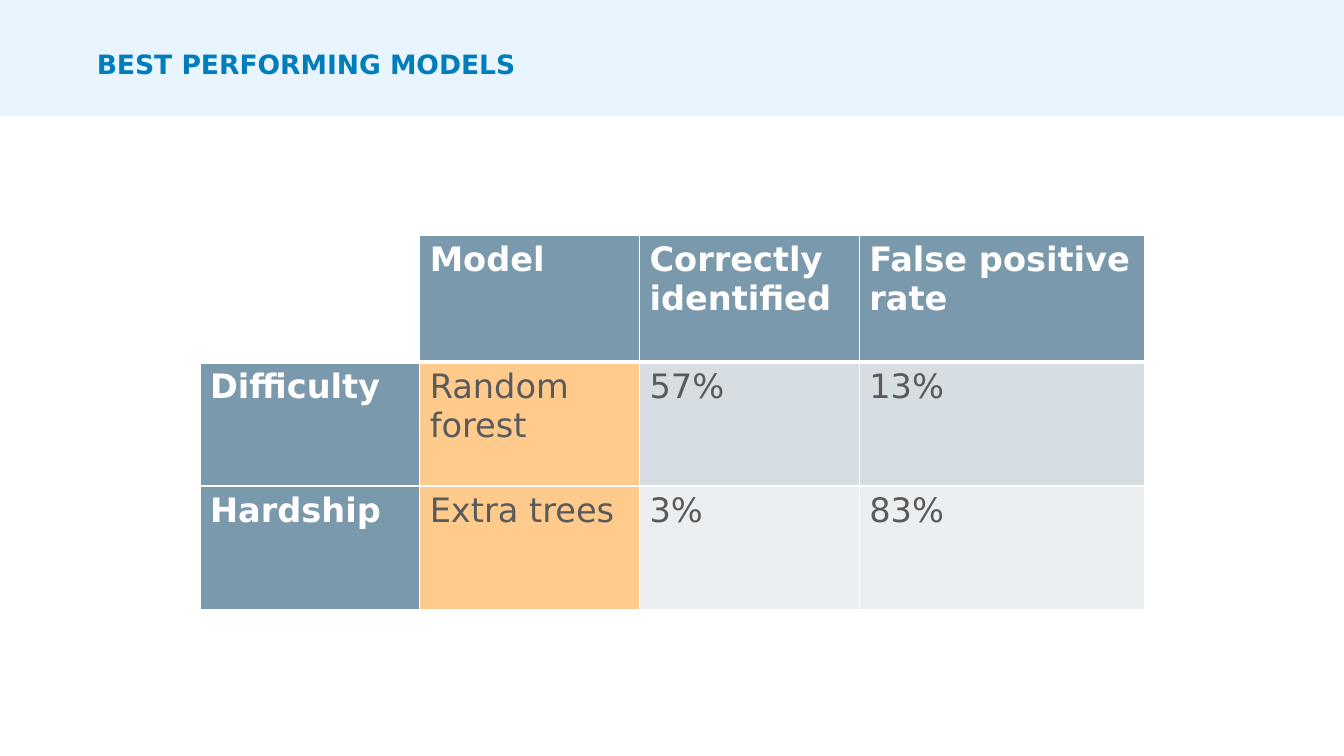
from dataclasses import dataclass

from lxml import etree
from pptx import Presentation
from pptx.dml.color import RGBColor
from pptx.enum.shapes import MSO_SHAPE
from pptx.enum.text import MSO_ANCHOR, MSO_AUTO_SIZE, PP_ALIGN
from pptx.oxml.ns import qn
from pptx.slide import Slide
from pptx.table import _Cell
from pptx.text.text import TextFrame
from pptx.util import Pt

RECTANGLE = MSO_SHAPE.RECTANGLE
TOP = MSO_ANCHOR.TOP
LEFT = PP_ALIGN.LEFT
NO_AUTOFIT = MSO_AUTO_SIZE.NONE

FONT = "DejaVu Sans"
SLIDE_WIDTH, SLIDE_HEIGHT = 960, 540
TITLE_ONLY_LAYOUT = 5
COLOURS = {
    "band": "E9F5FE",
    "title": "007DBA",
    "white": "FFFFFF",
    "header": "7A99AC",
    "model": "FFCB8C",
    "dark_row": "D7DEE3",
    "light_row": "ECEFF1",
    "body": "595A5B",
}

TABLE_LEFT, TABLE_TOP = 142.8, 167.9
COLUMN_WIDTHS = (157, 157, 157, 203.8)
ROW_HEIGHTS = (90.7, 88.6, 88.6)
THIN_BORDER, HEADER_BORDER = 1, 3


@dataclass(frozen=True)
class ModelResult:
    outcome: str
    model: str
    identified: str
    false_positives: str
    fill: str


HEADINGS = ("", "Model", "Correctly identified", "False positive rate")
RESULTS = (
    ModelResult("Difficulty", "Random forest", "57%", "13%", "dark_row"),
    ModelResult("Hardship", "Extra trees", "3%", "83%", "light_row"),
)


def colour(name: str) -> RGBColor:
    return RGBColor.from_string(COLOURS[name])


def write_text(frame: TextFrame, text: str, *, size: float, colour_name: str,
               bold: bool = False, line_spacing: float = 1.0) -> None:
    paragraph = frame.paragraphs[0]
    paragraph.alignment = LEFT
    paragraph.line_spacing = line_spacing
    run = paragraph.add_run()
    run.text = text
    run.font.name = FONT
    run.font.size = Pt(size)
    run.font.bold = bold
    run.font.color.rgb = colour(colour_name)


def add_title_band(slide: Slide) -> None:
    """Place the band behind the title placeholder."""
    band = slide.shapes.add_shape(RECTANGLE, 0, 0, Pt(SLIDE_WIDTH), Pt(82.8))
    band.shadow.inherit = False
    band.fill.solid()
    band.fill.fore_color.rgb = colour("band")
    band.line.fill.background()
    slide.shapes.title.element.addprevious(band.element)


def add_title(slide: Slide, text: str) -> None:
    title = slide.shapes.title
    title.left, title.top = Pt(69.1), Pt(36)
    title.width, title.height = Pt(840.2), Pt(24.5)
    frame = title.text_frame
    frame.margin_left = frame.margin_right = Pt(0)
    frame.margin_top = frame.margin_bottom = Pt(0)
    frame.vertical_anchor = TOP
    frame.word_wrap = True
    frame.auto_size = NO_AUTOFIT
    write_text(frame, text, size=19, colour_name="title", bold=True, line_spacing=0.95)


def set_borders(cell: _Cell, *, top: float, bottom: float) -> None:
    """Draw white borders; call before filling, as lines precede the fill in XML."""
    properties = cell._tc.get_or_add_tcPr()
    widths = {"a:lnL": THIN_BORDER, "a:lnR": THIN_BORDER, "a:lnT": top, "a:lnB": bottom}
    for tag, width in widths.items():
        line = etree.SubElement(properties, qn(tag), w=str(Pt(width)))
        fill = etree.SubElement(line, qn("a:solidFill"))
        etree.SubElement(fill, qn("a:srgbClr"), val=COLOURS["white"])


def format_cell(cell: _Cell, text: str, row: int, column: int, row_fill: str) -> None:
    is_heading = row == 0 or column == 0
    set_borders(cell, top=HEADER_BORDER if row == 1 else THIN_BORDER,
                bottom=HEADER_BORDER if row == 0 else THIN_BORDER)
    if not text:
        fill_name = "white"
    elif is_heading:
        fill_name = "header"
    else:
        fill_name = "model" if column == 1 else row_fill
    cell.fill.solid()
    cell.fill.fore_color.rgb = colour(fill_name)
    if text:
        write_text(cell.text_frame, text, size=24, bold=is_heading,
                   colour_name="white" if is_heading else "body")


def add_results_table(slide: Slide) -> None:
    table = slide.shapes.add_table(
        len(ROW_HEIGHTS), len(COLUMN_WIDTHS), Pt(TABLE_LEFT), Pt(TABLE_TOP),
        Pt(sum(COLUMN_WIDTHS)), Pt(sum(ROW_HEIGHTS))).table
    table.first_col = True
    table.horz_banding = False
    for table_column, width in zip(table.columns, COLUMN_WIDTHS):
        table_column.width = Pt(width)
    for table_row, height in zip(table.rows, ROW_HEIGHTS):
        table_row.height = Pt(height)

    rows = [(HEADINGS, "header")]
    for result in RESULTS:
        texts = (result.outcome, result.model, result.identified, result.false_positives)
        rows.append((texts, result.fill))
    for row, (texts, row_fill) in enumerate(rows):
        for column, text in enumerate(texts):
            format_cell(table.cell(row, column), text, row, column, row_fill)


def main() -> None:
    presentation = Presentation()
    presentation.slide_width = Pt(SLIDE_WIDTH)
    presentation.slide_height = Pt(SLIDE_HEIGHT)
    slide = presentation.slides.add_slide(presentation.slide_layouts[TITLE_ONLY_LAYOUT])
    add_title_band(slide)
    add_title(slide, "BEST PERFORMING MODELS")
    add_results_table(slide)
    presentation.save("out.pptx")


if __name__ == "__main__":
    main()
